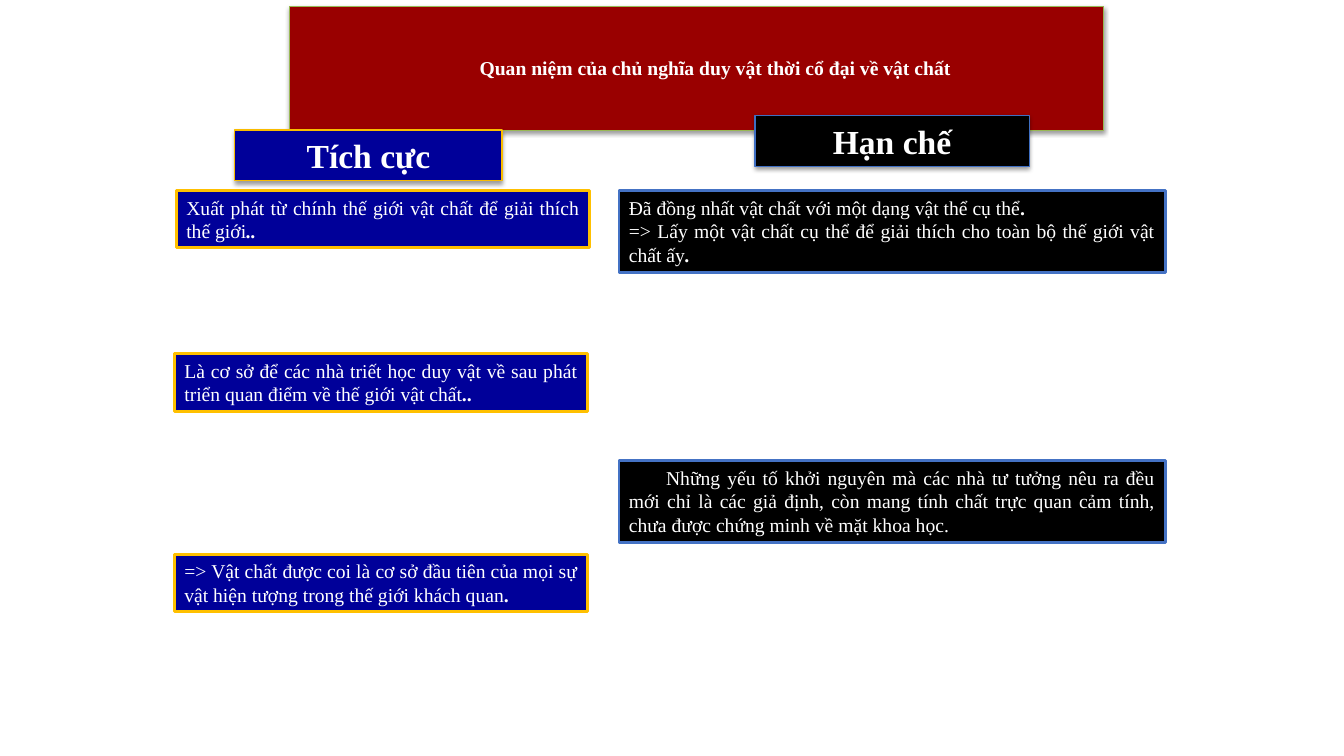
from lxml.etree import SubElement
from pptx import Presentation
from pptx.dml.color import RGBColor
from pptx.enum.shapes import MSO_SHAPE
from pptx.enum.text import MSO_ANCHOR, MSO_AUTO_SIZE, PP_ALIGN
from pptx.oxml import parse_xml
from pptx.oxml.ns import nsdecls, qn
from pptx.util import Pt

FONT = "Times New Roman"
WHITE = RGBColor(0xFF, 0xFF, 0xFF)
BLACK = RGBColor(0x00, 0x00, 0x00)
RED = RGBColor(0x99, 0x00, 0x00)
NAVY = RGBColor(0x00, 0x00, 0x99)
GREEN = RGBColor(0x98, 0xB9, 0x55)
GOLD = RGBColor(0xF9, 0xBC, 0x00)
AMBER = RGBColor(0xFF, 0xC0, 0x00)
STEEL = RGBColor(0x3F, 0x6F, 0xC3)
BLUE = RGBColor(0x44, 0x72, 0xC4)

TITLE = "Quan niệm của chủ nghĩa duy vật thời cổ đại về vật chất"

# Each point: (top, height, paragraphs); each paragraph: (text, closing dots, alignment, first-line indent)
STRENGTHS = [
    (136.1, 41, [("Xuất phát từ chính thế giới vật chất để giải thích thế giới", "..",
                  PP_ALIGN.JUSTIFY, 0)]),
    (252.7, 41, [("Là cơ sở để các nhà triết học duy vật về sau phát triển quan điểm về thế giới vật chất",
                  "..", PP_ALIGN.JUSTIFY, 0)]),
    (396, 41, [("=> Vật chất được coi là cơ sở đầu tiên của mọi sự vật hiện tượng trong thế giới khách quan",
                ".", PP_ALIGN.JUSTIFY, 0)]),
]
LIMITS = [
    (136.1, 58.3, [
        ("Đã đồng nhất vật chất với một dạng vật thể cụ thể", ".", PP_ALIGN.LEFT, 0),
        ("=> Lấy một vật chất cụ thể để giải thích cho toàn bộ thế giới vật chất ấy", ".",
         PP_ALIGN.JUSTIFY, 0)]),
    (329, 58.3, [
        ("Những yếu tố khởi nguyên mà các nhà tư tưởng nêu ra đều mới chỉ là các giả định, "
         "còn mang tính chất trực quan cảm tính, chưa được chứng minh về mặt khoa học.", "",
         PP_ALIGN.JUSTIFY, 26.6)]),
]


def add_run(paragraph, text, size, bold=False, italic=False):
    run = paragraph.add_run()
    run.text = text
    font = run.font
    font.name, font.size, font.bold, font.italic = FONT, Pt(size), bold, italic
    font.color.rgb = WHITE


def paint(shape, fill, line, width):
    shape.fill.solid()
    shape.fill.fore_color.rgb = fill
    shape.line.color.rgb = line
    shape.line.width = Pt(width)
    shape.shadow.inherit = False


def cast_shadow(shape):
    """Give a painted shape a soft shadow straight below it."""
    effects = shape._element.spPr.find(qn("a:effectLst"))
    shadow = SubElement(effects, qn("a:outerShdw"), blurRad=str(Pt(3.15)), dist=str(Pt(1.6)),
                        dir="5400000", rotWithShape="0")
    color = SubElement(shadow, qn("a:srgbClr"), val=str(BLACK))
    SubElement(color, qn("a:alpha"), val="38000")


def add_panel(slide, box, fill, line, width):
    panel = slide.shapes.add_shape(MSO_SHAPE.RECTANGLE, *map(Pt, box))
    paint(panel, fill, line, width)
    frame = panel.text_frame
    frame.word_wrap = True
    frame.vertical_anchor = MSO_ANCHOR.TOP
    frame.auto_size = MSO_AUTO_SIZE.SHAPE_TO_FIT_TEXT
    return panel


def add_title(slide, box):
    """Turn the title placeholder into the red ellipse."""
    title = slide.shapes.title
    title.left, title.top, title.width, title.height = map(Pt, box)
    title._element.spPr.append(
        parse_xml(f'<a:prstGeom {nsdecls("a")} prst="ellipse"><a:avLst/></a:prstGeom>'))
    paint(title, RED, GREEN, 0.75)
    cast_shadow(title)
    frame = title.text_frame
    frame.word_wrap = True
    frame.auto_size = MSO_AUTO_SIZE.NONE
    frame.vertical_anchor = MSO_ANCHOR.MIDDLE
    heading = frame.paragraphs[0]
    heading.alignment = PP_ALIGN.CENTER
    heading._p.get_or_add_pPr().set("marL", str(Pt(27)))
    add_run(heading, TITLE, 14, bold=True)


def add_heading(slide, box, text, fill, line):
    panel = add_panel(slide, box, fill, line, 0.75)
    cast_shadow(panel)
    paragraph = panel.text_frame.paragraphs[0]
    paragraph.alignment = PP_ALIGN.CENTER
    add_run(paragraph, text, 24, bold=True)


def add_points(slide, left, width, points, fill, line):
    """Place one bordered panel per point in a column."""
    for top, height, paragraphs in points:
        frame = add_panel(slide, (left, top, width, height), fill, line, 2).text_frame
        for index, (text, dots, alignment, indent) in enumerate(paragraphs):
            paragraph = frame.add_paragraph() if index else frame.paragraphs[0]
            paragraph.alignment = alignment
            if indent:
                paragraph._p.get_or_add_pPr().set("indent", str(Pt(indent)))
            add_run(paragraph, text, 14)
            if dots:
                add_run(paragraph, dots, 14, bold=True, italic=True)


def main():
    prs = Presentation()
    prs.slide_width, prs.slide_height = Pt(960), Pt(540)
    slide = prs.slides.add_slide(prs.slide_layouts[5])
    add_title(slide, (206.6, 4.3, 581.8, 88.6))
    add_heading(slide, (167.8, 92.9, 190.8, 36.4), "Tích cực", NAVY, GOLD)
    add_heading(slide, (539.3, 82.5, 195.8, 36.4), "Hạn chế", BLACK, STEEL)
    add_points(slide, 126, 295.2, STRENGTHS[:1], NAVY, AMBER)
    add_points(slide, 124.6, 295.2, STRENGTHS[1:], NAVY, AMBER)
    add_points(slide, 442.1, 390.2, LIMITS, BLACK, BLUE)
    prs.save("out.pptx")


if __name__ == "__main__":
    main()
